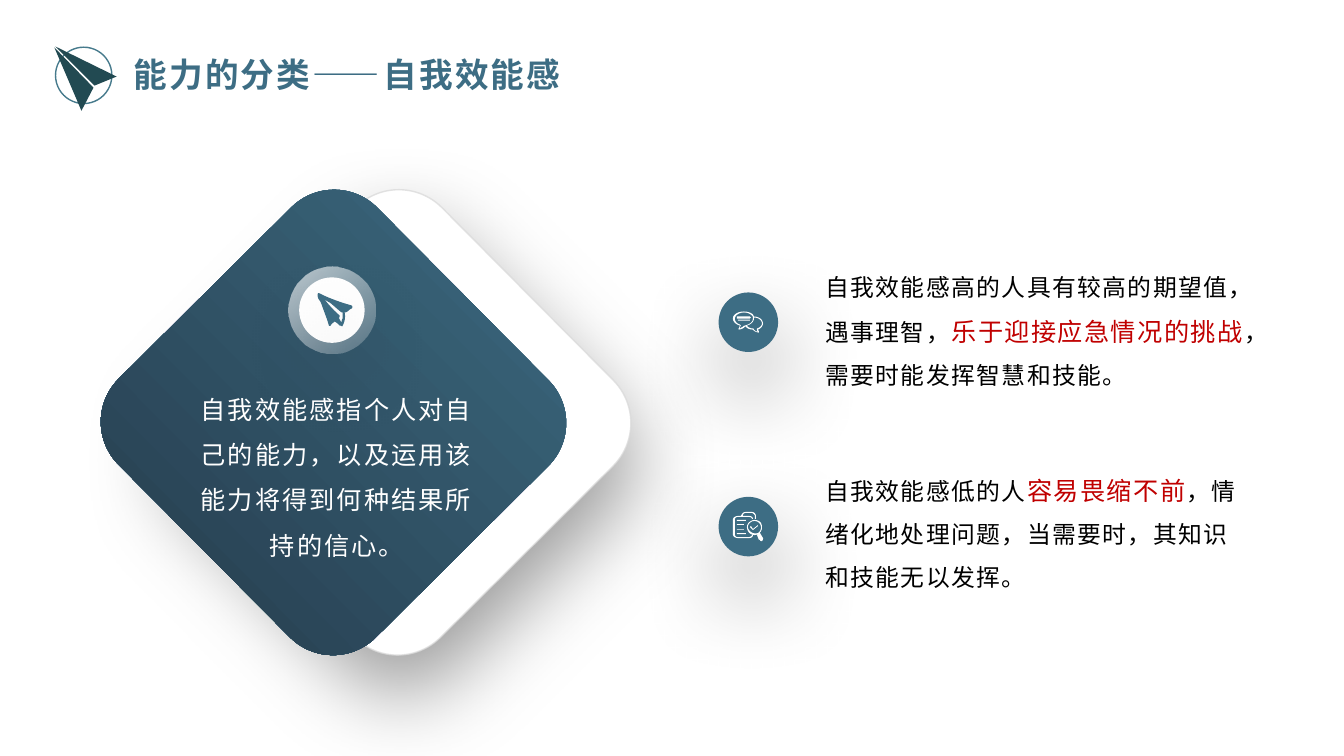
from lxml import etree
from pptx import Presentation
from pptx.dml.color import RGBColor
from pptx.enum.shapes import MSO_SHAPE
from pptx.enum.text import MSO_ANCHOR, MSO_AUTO_SIZE, PP_ALIGN
from pptx.oxml.ns import qn
from pptx.util import Cm, Pt

OVAL, ROUNDED = MSO_SHAPE.OVAL, MSO_SHAPE.ROUNDED_RECTANGLE
LEFT, CENTER = PP_ALIGN.LEFT, PP_ALIGN.CENTER
TOP, GROW = MSO_ANCHOR.TOP, MSO_AUTO_SIZE.SHAPE_TO_FIT_TEXT

FONT = "Noto Sans CJK SC"
TEAL, NAVY, DARK_TEAL, RIM = "3D6D84", "243848", "224A52", "467A8C"
WHITE, BLACK, RED, GREY = "FFFFFF", "000000", "C00000", "D9D9D9"

# Icon outlines on small grids: M starts a contour, L draws lines, C a curve
ARROWHEAD = ["M 62,30 L 40,39 1,0", "M 39,41 L 27,64 0,1"]
CHAT = [
    "M 5,8 L 17,8 17,9 5,9",
    "M 4,5 L 17,5 18,6 17,7 4,7",
    "M 21,6 L 21,7 C 21,10 18,13 14,14 C 15,16 18,17 21,17 L 21,18 C 22,19 23,20 25,20 "
    "C 24,19 24,19 24,18 L 24,17 C 27,16 29,14 29,12 C 29,9 26,6 21,6",
    "M 11,1 C 6,1 2,4 2,7 C 2,10 4,12 7,13 L 8,14 C 7,15 7,16 7,17 C 8,16 11,15 11,14 "
    "L 12,14 C 16,13 20,11 20,7 C 20,6 20,5 19,4 C 17,2 14,1 11,1",
    "M 11,0 C 14,0 18,1 20,3 L 21,5 C 26,5 30,8 30,12 C 30,14 28,17 25,18 L 26,20 26,21 "
    "C 25,21 21,20 20,18 C 17,18 14,17 13,15 L 12,15 C 11,17 7,18 6,18 L 5,17 6,17 7,14 "
    "C 3,13 0,10 0,7 C 0,3 5,0 11,0",
]
CLIPBOARD = [
    "M 19,23 L 20,23 C 20,25 18,26 16,26 L 5,26 C 2,26 0,24 0,22 L 0,8 C 0,6 2,4 5,4 "
    "L 8,4 C 9,2 10,0 13,0 L 19,0 C 21,0 23,2 23,4 L 23,7 22,7 22,4 C 22,3 20,1 19,1 "
    "L 13,1 C 11,1 10,2 10,4 L 16,4 C 18,4 20,5 20,7 L 19,7 C 19,6 18,5 16,5 L 5,5 "
    "C 3,5 2,6 2,8 L 2,22 C 2,24 3,25 5,25 L 16,25 C 17,25 19,24 19,23",
    "M 25,22 C 22,24 17,23 15,19 C 13,15 14,11 18,9 C 21,7 26,8 28,11 C 30,15 29,20 25,22",
    "M 25,21 C 28,19 29,15 27,12 C 25,9 21,8 18,10 C 15,12 14,15 16,18 C 18,21 22,22 25,21",
    "M 27,21 L 24,23 26,28 30,26",
    "M 30,26 L 27,28 C 27,29 28,29 29,29 C 30,28 30,27 30,26",
    "M 4,8 L 13,8 13,9 4,9",
    "M 4,12 L 11,12 11,13 4,13",
    "M 4,17 L 11,17 11,17.5 4,17.5",
    "M 4,21 L 13,21 13,22 4,22",
    "M 20,17 L 18,14 17,15 20,18 25,14 25,13",
]
PAPER_PLANE = [
    "M 35,13 C 24,10 13,6 3,1 C 2,0 1,1 1,2 L 1,3 C 1,5 2,7 3,8 C 4,9 4,10 5,12 "
    "C 7,18 10,25 12,32 C 12,33 13,34 14,33 C 15,31 17,30 18,29 C 20,30 22,32 23,33 "
    "L 24,33 C 25,34 26,34 26,33 C 28,30 29,24 28,20 C 31,20 32,17 35,16 C 36,15 36,14 35,13",
    "M 26,26 C 25,27 25,29 25,30 C 24,29 23,27 22,25 L 23,25 23,23 C 17,18 12,12 7,6 "
    "C 9,8 11,9 13,10 C 17,13 21,17 25,20 L 26,20 C 26,22 26,24 26,26",
]


def rgb(value):
    return RGBColor.from_string(value)


def add_alpha(parent, percent):
    """Set the opacity of the colour below parent."""
    color = next(parent.iter(qn("a:srgbClr")))
    etree.SubElement(color, qn("a:alpha"), val=str(percent * 1000))


def trace(outline, steps=6):
    """Turn one contour into a list of points, with its curves divided."""
    points, curve, command = [], [], ""
    for token in outline.split():
        if token in "MLC":
            command, curve = token, []
            continue
        point = tuple(float(n) for n in token.split(","))
        if command != "C":
            points.append(point)
            continue
        curve.append(point)
        if len(curve) == 3:
            a, (b, c, d) = points[-1], curve
            for t in (i / steps for i in range(1, steps + 1)):
                u = 1 - t
                points.append(tuple(
                    u**3 * a[k] + 3 * u * u * t * b[k] + 3 * u * t * t * c[k] + t**3 * d[k]
                    for k in (0, 1)))
    return points


class Deck:
    """Holds the style, the slide and the shapes being filled."""

    FINE = 100  # parts of one icon grid unit

    def __init__(self):
        self.prs = Presentation()
        self.prs.slide_width, self.prs.slide_height = Cm(33.87), Cm(19.05)
        self.slide = self.prs.slides.add_slide(self.prs.slide_layouts[5])
        self.canvas = self.slide.shapes

    def start_group(self):
        self.canvas = self.slide.shapes.add_group_shape().shapes

    def end_group(self):
        self.canvas = self.slide.shapes

    def finish(self, shape, fill=None, line=None, shadow=False):
        shape.shadow.inherit = False
        if fill:
            shape.fill.solid()
            shape.fill.fore_color.rgb = rgb(fill)
        else:
            shape.fill.background()
        if line:
            shape.line.color.rgb = rgb(line)
            shape.line.width = Pt(1)
        else:
            shape.line.fill.background()
        if shadow:
            effects = shape._element.spPr.find(qn("a:effectLst"))
            outer = etree.SubElement(
                effects, qn("a:outerShdw"), blurRad=str(Pt(64)), dist=str(Pt(27)),
                dir=str(85 * 60000), algn="ctr", rotWithShape="0")
            etree.SubElement(outer, qn("a:srgbClr"), val=BLACK)
            add_alpha(outer, 40)
        return shape

    def square(self, kind, left, top, size, rotation=0, **look):
        shape = self.canvas.add_shape(kind, Cm(left), Cm(top), Cm(size), Cm(size))
        shape.rotation = rotation
        return self.finish(shape, **look)

    def gradient(self, shape, stops, angle):
        shape.fill.gradient()
        shape.fill.gradient_angle = angle
        for stop, (color, opacity) in zip(shape.fill.gradient_stops, stops):
            stop.color.rgb = rgb(color)
            if opacity < 100:
                add_alpha(stop._gs, opacity)

    def icon(self, outlines, left, top, width, columns, **look):
        contours = [[(x * self.FINE, y * self.FINE) for x, y in trace(o)] for o in outlines]
        builder = self.canvas.build_freeform(
            *contours[0][0], scale=Cm(width) / (columns * self.FINE))
        for number, contour in enumerate(contours):
            if number:
                builder.move_to(*contour[0])
            builder.add_line_segments(contour[1:], close=True)
        self.finish(builder.convert_to_shape(Cm(left), Cm(top)), **look)

    def fill_text(self, shape, box, runs, align=LEFT, spacing=1.0, tracking=1.0, bold=False):
        for name, value in zip(("left", "top", "width", "height"), box):
            setattr(shape, name, Cm(value))
        frame_format = {"word_wrap": True, "auto_size": GROW, "vertical_anchor": TOP}
        for name, value in frame_format.items():
            setattr(shape.text_frame, name, value)
        paragraph = shape.text_frame.paragraphs[0]
        paragraph.alignment, paragraph.line_spacing = align, spacing
        for words, size, color in runs:
            run = paragraph.add_run()
            run.text = words
            font_format = {"name": FONT, "size": Pt(size), "bold": bold}
            for name, value in font_format.items():
                setattr(run.font, name, value)
            run.font.color.rgb = rgb(color)
            props = run.font._element
            props.set("spc", str(int(tracking * 100)))
            props.find(qn("a:latin")).addnext(
                props.makeelement(qn("a:ea"), {"typeface": FONT}))

    def title(self, words, box):
        self.fill_text(self.slide.shapes.title, box, [(words, 24, TEAL)], tracking=1.5, bold=True)

    def text(self, box, runs, **layout):
        shape = self.canvas.add_textbox(*(Cm(n) for n in box))
        self.fill_text(shape, box, runs, spacing=1.5, **layout)


def main():
    deck = Deck()

    # Header
    deck.title("能力的分类——自我效能感", (3.12, 1.24, 16.94, 1.27))
    deck.start_group()
    deck.square(OVAL, 1.4, 1.19, 1.42, line=RIM)
    deck.icon(ARROWHEAD, 1.37, 1.17, 1.57, 62, fill=DARK_TEAL)
    deck.end_group()

    # High and low self-efficacy
    high = [("自我效能感高的人具有较高的期望值，遇事理智，", 17, BLACK),
            ("乐于迎接应急情况的挑战", 18, RED),
            ("，需要时能发挥智慧和技能。", 17, BLACK)]
    low = [("自我效能感低的人", 17, BLACK),
           ("容易畏缩不前", 18, RED),
           ("，情绪化地处理问题，当需要时，其知识和技能无以发挥。", 17, BLACK)]
    for disc_top, symbol, symbol_top, text_top, runs in (
            (7.37, CHAT, 7.85, 6.38, high), (12.52, CLIPBOARD, 12.9, 11.46, low)):
        deck.square(OVAL, 18.11, disc_top, 1.5, fill=TEAL, shadow=True)
        deck.icon(symbol, 18.47, symbol_top, 0.76, 30, fill=WHITE)
        deck.text((20.55, text_top, 11.13, 3.58), runs)

    # Definition on the diamonds
    deck.start_group()
    back = deck.square(ROUNDED, 5.44, 6.05, 9.19, 45.2, fill=WHITE, line=GREY, shadow=True)
    add_alpha(back.line._ln, 74)
    front = deck.square(ROUNDED, 3.81, 6.05, 9.19, 45.2)
    deck.gradient(front, [(TEAL, 100), (NAVY, 100)], 270)
    halo = deck.square(OVAL, 7.26, 6.71, 2.21)
    deck.gradient(halo, [(WHITE, 68), (WHITE, 18)], 310)
    deck.square(OVAL, 7.54, 6.99, 1.65, fill=WHITE)
    deck.icon(PAPER_PLANE, 7.98, 7.37, 0.91, 36, fill=TEAL, shadow=True)
    definition = "自我效能感指个人对自己的能力，以及运用该能力将得到何种结果所持的信心。"
    deck.text((4.62, 9.42, 7.75, 4.88), [(definition, 18, WHITE)], align=CENTER, tracking=1.5)
    deck.end_group()

    deck.prs.save("out.pptx")


if __name__ == "__main__":
    main()
